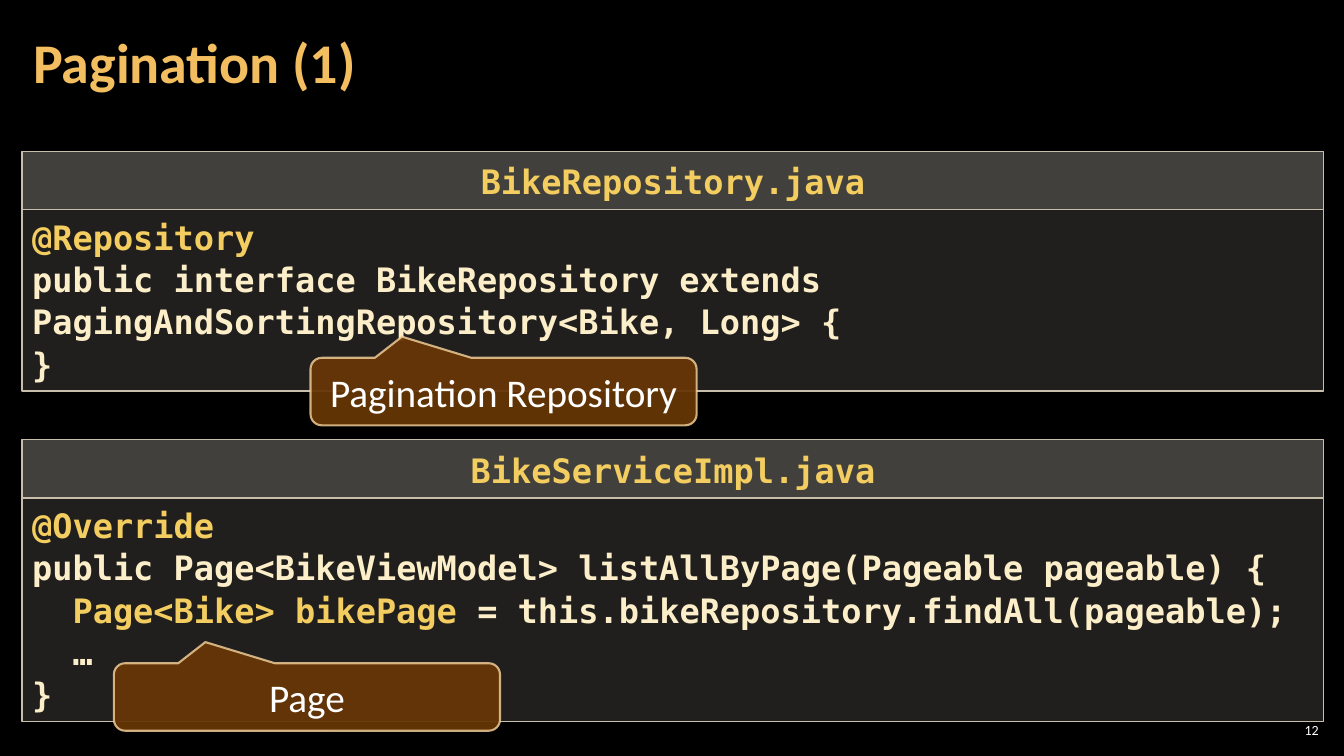
from dataclasses import dataclass

from lxml import etree
from pptx import Presentation
from pptx import util as u
from pptx.dml.color import RGBColor
from pptx.enum import shapes, text
from pptx.oxml.ns import qn

BLACK = RGBColor(0x00, 0x00, 0x00)
WHITE = RGBColor(0xFF, 0xFF, 0xFF)
ORANGE = RGBColor(0xF3, 0xBE, 0x60)
YELLOW = RGBColor(0xF3, 0xCD, 0x60)
CREAM = RGBColor(0xFB, 0xEE, 0xC9)
PANEL = RGBColor(0xD9, 0xD5, 0xC7)
BORDER = RGBColor(0xC7, 0xBF, 0xAC)
BROWN = RGBColor(0x66, 0x36, 0x06)
TAN = RGBColor(0xF8, 0xD4, 0x9E)

CODE_FONT = {"name": "DejaVu Sans Mono", "size": u.Pt(24), "bold": True}
CALLOUT_FONT = {"name": "Calibri", "size": u.Pt(28)}
TITLE_FONT = {"name": "Calibri", "size": u.Pt(40), "bold": True}
NUMBER_FONT = {"name": "Calibri", "size": u.Pt(10)}

PANEL_LEFT, PANEL_WIDTH, HEADER_HEIGHT = 0.22, 12.91, 0.58

Run = tuple[str, RGBColor]


@dataclass
class CodePanel:
    file_name: str
    top: float
    body_height: float
    lines: list[list[Run]]


@dataclass
class Callout:
    label: str
    left: float
    top: float


PANELS = [
    CodePanel("BikeRepository.java", 1.5, 1.8, [
        [("@Repository", YELLOW)],
        [("public interface BikeRepository extends "
          "PagingAndSortingRepository<Bike, Long> {", CREAM)],
        [("}", CREAM)],
    ]),
    CodePanel("BikeServiceImpl.java", 4.36, 2.22, [
        [("@Override", YELLOW)],
        [("public Page<BikeViewModel> listAllByPage(Pageable pageable) {", CREAM)],
        [("  ", CREAM), ("Page<Bike> bikePage ", YELLOW),
         ("= this.bikeRepository.findAll(pageable);", CREAM)],
        [("  …", CREAM)],
        [("}", CREAM)],
    ]),
]

CALLOUTS = [
    Callout("Pagination Repository", 3.08, 3.55),
    Callout("Page", 1.13, 6.58),
]


def set_alpha(fill, percent: int) -> None:
    """Make a solid fill partly transparent."""
    color = fill._xPr.find(qn("a:solidFill"))[0]
    etree.SubElement(color, qn("a:alpha"), val=str(percent * 1000))


def write(tf, lines: list[list[Run]], font: dict, align=text.PP_ALIGN.LEFT,
          anchor=text.MSO_ANCHOR.TOP, spacing: float = 1.0,
          inset: tuple[float, float] = (0.1, 0.05)) -> None:
    """Fill a text frame with formatted lines."""
    layout = {"word_wrap": True, "vertical_anchor": anchor,
              "margin_left": u.Inches(inset[0]), "margin_right": u.Inches(inset[0]),
              "margin_top": u.Inches(inset[1]), "margin_bottom": u.Inches(inset[1])}
    for name, value in layout.items():
        setattr(tf, name, value)
    for i, line in enumerate(lines):
        p = tf.add_paragraph() if i else tf.paragraphs[0]
        p.alignment, p.line_spacing = align, spacing
        for words, color in line:
            r = p.add_run()
            r.text = words
            for name, value in font.items():
                setattr(r.font, name, value)
            r.font.color.rgb = color


def add_box(s, kind, left: float, top: float, width: float, height: float,
            fill: RGBColor, alpha: int, line: RGBColor, weight: float):
    """Add a translucent outlined shape."""
    sp = s.shapes.add_shape(kind, u.Inches(left), u.Inches(top),
                            u.Inches(width), u.Inches(height))
    sp.shadow.inherit = False
    sp.fill.solid()
    sp.fill.fore_color.rgb = fill
    set_alpha(sp.fill, alpha)
    sp.line.color.rgb = line
    sp.line.width = u.Pt(weight)
    return sp


def add_panel(s, panel: CodePanel) -> None:
    rect = shapes.MSO_SHAPE.RECTANGLE
    body = add_box(s, rect, PANEL_LEFT, panel.top + HEADER_HEIGHT, PANEL_WIDTH,
                   panel.body_height, PANEL, 15, BORDER, 1)
    write(body.text_frame, panel.lines, CODE_FONT, spacing=1.05)
    header = add_box(s, rect, PANEL_LEFT, panel.top, PANEL_WIDTH, HEADER_HEIGHT,
                     PANEL, 30, BORDER, 1)
    write(header.text_frame, [[(panel.file_name, YELLOW)]], CODE_FONT,
          text.PP_ALIGN.CENTER, spacing=1.05, inset=(0.1, 0.08))


def add_callout(s, callout: Callout) -> None:
    sp = add_box(s, shapes.MSO_SHAPE.ROUNDED_RECTANGULAR_CALLOUT, callout.left,
                 callout.top, 3.83, 0.67, BROWN, 95, TAN, 1.5)
    set_alpha(sp.line.fill, 80)
    for i, value in enumerate((-0.263, -0.813, 0.167)):
        sp.adjustments[i] = value
    write(sp.text_frame, [[(callout.label, WHITE)]], CALLOUT_FONT,
          text.PP_ALIGN.CENTER, text.MSO_ANCHOR.MIDDLE)


def main() -> None:
    prs = Presentation()
    prs.slide_width, prs.slide_height = u.Inches(13.33), u.Inches(7.5)
    s = prs.slides.add_slide(prs.slide_layouts[5])
    s.background.fill.solid()
    s.background.fill.fore_color.rgb = BLACK

    # Slide number
    number = s.shapes.add_textbox(u.Inches(12.65), u.Inches(7.14),
                                  u.Inches(0.47), u.Inches(0.21))
    write(number.text_frame, [[("12", WHITE)]], NUMBER_FONT, text.PP_ALIGN.RIGHT,
          text.MSO_ANCHOR.MIDDLE, inset=(0.04, 0.04))

    # Title
    title = s.shapes.title
    title.left, title.top = u.Inches(0.21), u.Inches(0.04)
    title.width, title.height = u.Inches(10.47), u.Inches(1.21)
    write(title.text_frame, [[("Pagination (1)", ORANGE)]], TITLE_FONT,
          anchor=text.MSO_ANCHOR.MIDDLE, spacing=0.9, inset=(0.12, 0.04))

    # Code panels, each with its callout on top
    for panel, callout in zip(PANELS, CALLOUTS):
        add_panel(s, panel)
        add_callout(s, callout)

    prs.save("out.pptx")


if __name__ == "__main__":
    main()
